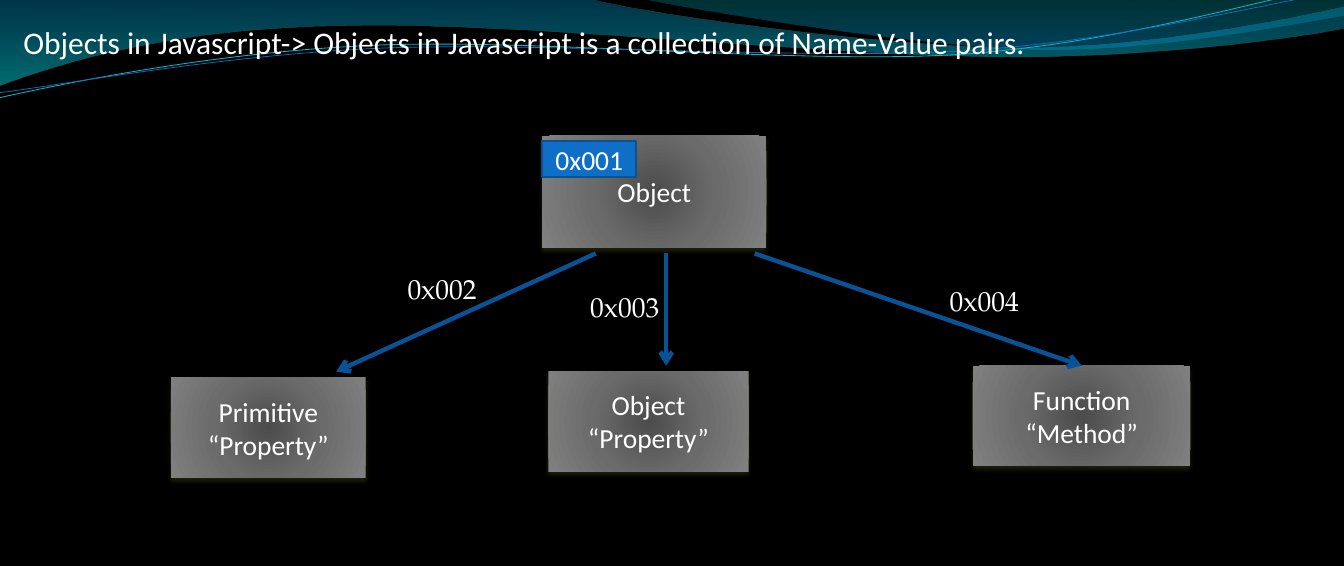
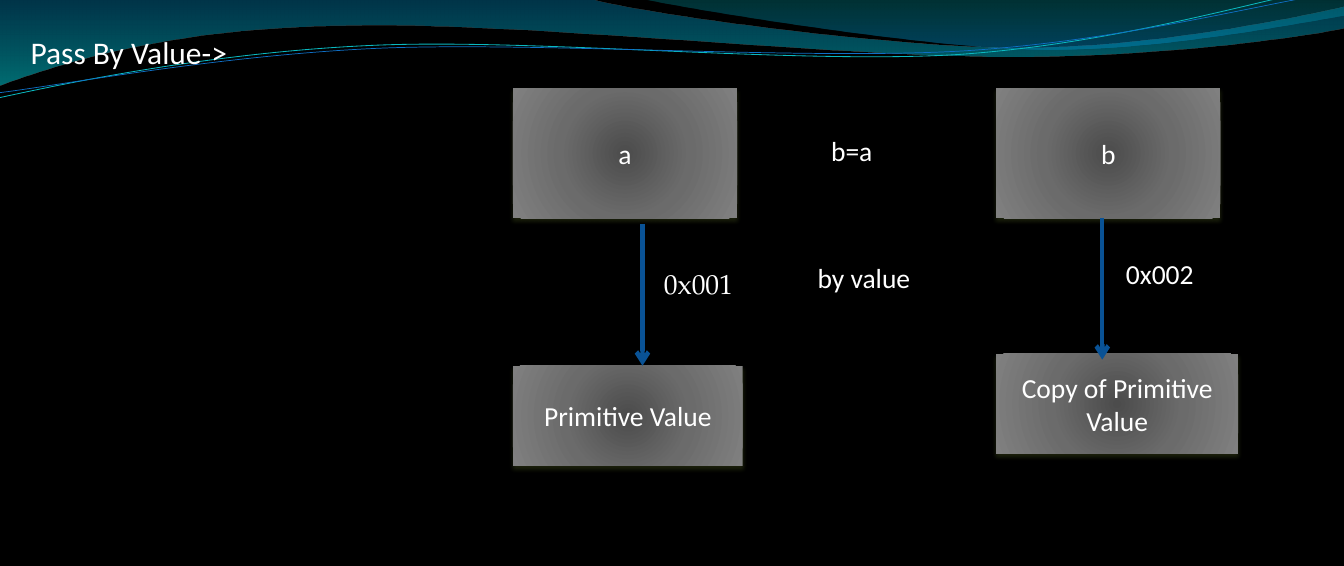
from dataclasses import dataclass

from lxml import etree
from pptx import Presentation
from pptx.dml.color import RGBColor
from pptx.enum import shapes, text
from pptx.oxml.ns import qn
from pptx.util import Cm, Pt

COLORS = {
    "background": "000000", "text": "FFFFFF", "shadow": "3A4519",
    "tag": "0F6FC6", "tag_edge": "0B5292", "arrow": "095295",
    "cyan_line": "0AB8BF", "blue_line": "0F6FC6",
}
# Gradient stops: position %, colour, opacity %
BOX_STOPS = ((0, "4C4C4C", 100), (50, "6B6B6B", 100), (100, "808080", 100))
FRONT_STOPS = ((0, "0074A1", 45), (100, "00C6CF", 55))
BACK_STOPS = ((0, "00A1A9", 30), (80, "008BBF", 45))

SANS, SERIF = "Calibri", "TeX Gyre Pagella"
TITLE_SIZE, BODY_SIZE = 32, 28
INSETS = (0.25, 0.13, 0.25, 0.13)
FIRST_WAVE_ID = 101


@dataclass(frozen=True)
class Box:
    """Text in a rectangle; lengths in cm, insets as left, top, right, bottom."""
    words: str
    left: float
    top: float
    width: float
    height: float
    font: str = SANS
    insets: tuple[float, ...] = INSETS


@dataclass(frozen=True)
class Arrow:
    """Arrow between two points in cm; target is the box whose top middle it meets."""
    start: tuple[float, float]
    end: tuple[float, float]
    target: Box | None = None


@dataclass(frozen=True)
class Wave:
    """Outline in cm: a step has one point for a line, three for a Bezier curve."""
    start: tuple[float, float]
    steps: tuple
    stops: tuple = ()
    line: str = ""
    weight: float = 0


@dataclass(frozen=True)
class Diagram:
    title: Box
    boxes: tuple[Box, ...]
    arrows: tuple[Arrow, ...]
    labels: tuple[Box, ...]
    tags: tuple[Box, ...] = ()


WAVES = (
    Wave((0, 0), (
        ((21.26, -0.03),),
        ((22.96, 0.46), (32.03, 1.7), (36.6, 1.7)),
        ((41.17, 1.7), (46.25, 0.69), (48.26, 0.23)),
        ((48.31, 0.99),),
        ((47.45, 1.19), (41.99, 2.06), (35.99, 2.03)),
        ((30.02, 2.03), (18.42, 0.76), (12.42, 0.91)),
        ((6.2, 0.97), (2.21, 2.24), (-0.05, 3.07)),
        ((0, 0),),
    ), stops=FRONT_STOPS),
    Wave((23.11, -0.03), (
        ((24.59, 0.3), (32.92, 1.68), (37.11, 1.78)),
        ((41.3, 1.88), (46.41, 0.86), (48.26, 0.56)),
        ((48.26, 0),),
        ((23.11, -0.03),),
    ), stops=BACK_STOPS),
    Wave((-0.03, 3.51), (
        ((2.31, 3), (7.62, 1.88), (13.36, 1.63)),
        ((19.1, 1.37), (28.55, 2.31), (34.37, 1.96)),
        ((40.16, 1.57), (45.31, -0.03), (48.18, -0.56)),
    ), line="cyan_line", weight=0.85),
    Wave((-0.03, 3.33), (
        ((2.26, 3.05), (7.9, 1.98), (13.67, 1.73)),
        ((19.43, 1.5), (28.83, 2.16), (34.57, 1.83)),
        ((40.34, 1.47), (45.44, 0.1), (48.29, -0.33)),
    ), line="blue_line", weight=0.75),
)

METHOD = Box("Function\n“Method”", 34.93, 13.13, 7.82, 3.6)

DIAGRAMS = (
    Diagram(
        title=Box("Objects in Javascript-> Objects in Javascript is a collection "
                  "of Name-Value pairs.", 0.84, 0.64, 46.2, 19.68,
                  insets=(0, 0.2, 0.08, 0.2)),
        boxes=(
            Box("Object", 19.47, 4.88, 8.05, 4.02),
            Box("Primitive\n“Property”", 6.14, 13.55, 6.99, 3.6),
            Box("Object\n“Property”", 19.69, 13.33, 7.19, 3.6),
            METHOD,
        ),
        tags=(Box("0x001", 19.47, 5.08, 3.38, 1.27),),
        arrows=(
            Arrow((21.39, 9.1), (12.07, 13.34)),
            Arrow((23.92, 9.1), (23.92, 13.13)),
            Arrow((27.1, 9.1), (38.84, 13.13), METHOD),
        ),
        labels=(
            Box("0x002", 13.97, 9.52, 3.81, 1.69, SERIF),
            Box("0x003", 20.53, 10.16, 3.81, 1.69, SERIF),
            Box("0x004", 33.23, 10.16, 4.23, 1.27, SERIF),
        ),
    ),
    Diagram(
        title=Box("Pass By Value->", 0.85, 1.06, 45.52, 1.63),
        boxes=(
            Box("a", 18.42, 3.17, 8.05, 4.66),
            Box("b", 35.77, 3.17, 8.05, 4.66),
            Box("Primitive Value", 18.42, 13.13, 8.25, 3.6),
            Box("Copy of Primitive Value", 35.77, 12.7, 8.69, 3.6),
        ),
        arrows=(
            Arrow((23.07, 8.05), (23.07, 13.13)),
            Arrow((39.58, 7.83), (39.58, 12.91)),
        ),
        labels=(
            Box("0x001", 23.28, 9.32, 3.6, 1.69, SERIF),
            Box("0x002", 40.11, 9.09, 3.07, 1.45),
            Box("b=a", 27.94, 4.23, 5.29, 2.34),
            Box("by value", 28.58, 8.9, 4.88, 2.12),
        ),
    ),
)


def rgb(name: str) -> RGBColor:
    return RGBColor.from_string(COLORS[name])


def add_node(parent, tag: str, **values):
    return etree.SubElement(parent, qn(tag),
                            {key: str(value) for key, value in values.items()})


def add_color(parent, color: str, opacity: int = 100) -> None:
    node = add_node(parent, "a:srgbClr", val=color)
    if opacity < 100:
        add_node(node, "a:alpha", val=opacity * 1000)


def fill_gradient(shape, stops: tuple, radial: bool = False) -> None:
    """Fill from the centre outwards if radial, otherwise from top to bottom."""
    shape.fill.background()
    properties = shape._element.spPr
    empty = properties.find(qn("a:noFill"))
    gradient = add_node(properties, "a:gradFill", rotWithShape=1)
    stop_list = add_node(gradient, "a:gsLst")
    for position, color, opacity in stops:
        add_color(add_node(stop_list, "a:gs", pos=position * 1000), color, opacity)
    if radial:
        circle = add_node(gradient, "a:path", path="circle")
        add_node(circle, "a:fillToRect", **dict.fromkeys("ltrb", 50000))
    else:
        add_node(gradient, "a:lin", ang=5400000, scaled=0)
    properties.replace(empty, gradient)


def add_shadow(shape) -> None:
    effects = shape._element.spPr.find(qn("a:effectLst"))
    shadow = add_node(effects, "a:outerShdw", blurRad=Pt(4.5), dist=Pt(3),
                      dir=5400000, rotWithShape=0)
    add_color(shadow, COLORS["shadow"], 48)


def bend(shape, steps: tuple) -> None:
    """Join each three line points of a curved step into one Bezier curve."""
    lines = iter(list(shape._element.iter(qn("a:lnTo"))))
    for step in steps:
        parts = [next(lines) for _ in step]
        if len(parts) == 3:
            curve = etree.Element(qn("a:cubicBezTo"))
            parts[0].addprevious(curve)
            for part in parts:
                curve.append(part[0])
                part.getparent().remove(part)


def draw_wave(page, wave: Wave):
    builder = page.shapes.build_freeform(*map(Cm, wave.start))
    points = [tuple(map(Cm, point)) for step in wave.steps for point in step]
    builder.add_line_segments(points, close=False)
    shape = builder.convert_to_shape()
    bend(shape, wave.steps)
    shape.shadow.inherit = False
    if wave.stops:
        fill_gradient(shape, wave.stops)
        shape.line.fill.background()
    else:
        shape.fill.background()
        shape.line.color.rgb = rgb(wave.line)
        shape.line.width = Pt(wave.weight)
    return shape


def move_to_master(deck, wave_shapes: list) -> None:
    """Put the waves behind everything else on the master, so all slides share them."""
    tree = deck.slide_master.element.cSld.spTree
    for index, shape in enumerate(wave_shapes):
        shape._element.nvSpPr.cNvPr.set("id", str(FIRST_WAVE_ID + index))
        tree.insert(2 + index, shape._element)


def place(box: Box) -> tuple[Cm, ...]:
    return tuple(map(Cm, (box.left, box.top, box.width, box.height)))


def write(shape, box: Box, size: int = BODY_SIZE, align=text.PP_ALIGN.CENTER,
          anchor=text.MSO_ANCHOR.MIDDLE) -> None:
    frame = shape.text_frame
    frame.word_wrap = True
    frame.vertical_anchor = anchor
    for side, inset in zip(("left", "top", "right", "bottom"), box.insets):
        setattr(frame, f"margin_{side}", Cm(inset))
    frame.text = box.words
    for para in frame.paragraphs:
        para.alignment = align
        for span in para.runs:
            for name, value in {"name": box.font, "size": Pt(size)}.items():
                setattr(span.font, name, value)
            span.font.color.rgb = rgb("text")


def draw_rectangle(page, box: Box):
    shape = page.shapes.add_shape(shapes.MSO_SHAPE.RECTANGLE, *place(box))
    shape.shadow.inherit = False
    write(shape, box)
    return shape


def draw_box(page, box: Box):
    shape = draw_rectangle(page, box)
    fill_gradient(shape, BOX_STOPS, radial=True)
    shape.line.fill.background()
    add_shadow(shape)
    return shape


def draw_tag(page, tag: Box) -> None:
    shape = draw_rectangle(page, tag)
    shape.fill.solid()
    shape.fill.fore_color.rgb = rgb("tag")
    shape.line.color.rgb = rgb("tag_edge")
    shape.line.width = Pt(2)


def draw_arrow(page, arrow: Arrow, drawn: dict) -> None:
    connector = page.shapes.add_connector(
        shapes.MSO_CONNECTOR.STRAIGHT, *map(Cm, (*arrow.start, *arrow.end)))
    if arrow.target:
        connector.end_connect(drawn[arrow.target], 0)
    connector.line.color.rgb = rgb("arrow")
    connector.line.width = Pt(4.5)
    properties = connector._element.spPr
    add_node(properties.find(qn("a:ln")), "a:tailEnd", type="arrow")
    add_node(properties, "a:effectLst")


def draw_diagram(page, diagram: Diagram) -> None:
    write(page.shapes.add_textbox(*place(diagram.title)), diagram.title, TITLE_SIZE,
          text.PP_ALIGN.LEFT, text.MSO_ANCHOR.TOP)
    drawn = {box: draw_box(page, box) for box in diagram.boxes}
    for tag in diagram.tags:
        draw_tag(page, tag)
    for arrow in diagram.arrows:
        draw_arrow(page, arrow, drawn)
    for label in diagram.labels:
        write(page.shapes.add_textbox(*place(label)), label)


def main() -> None:
    deck = Presentation()
    deck.slide_width, deck.slide_height = Cm(48.26), Cm(20.32)
    backdrop = deck.slide_master.background.fill
    backdrop.solid()
    backdrop.fore_color.rgb = rgb("background")
    pages = [deck.slides.add_slide(deck.slide_layouts[6]) for _ in DIAGRAMS]
    move_to_master(deck, [draw_wave(pages[0], wave) for wave in WAVES])
    for page, diagram in zip(pages, DIAGRAMS):
        draw_diagram(page, diagram)
    deck.save("out.pptx")


if __name__ == "__main__":
    main()
